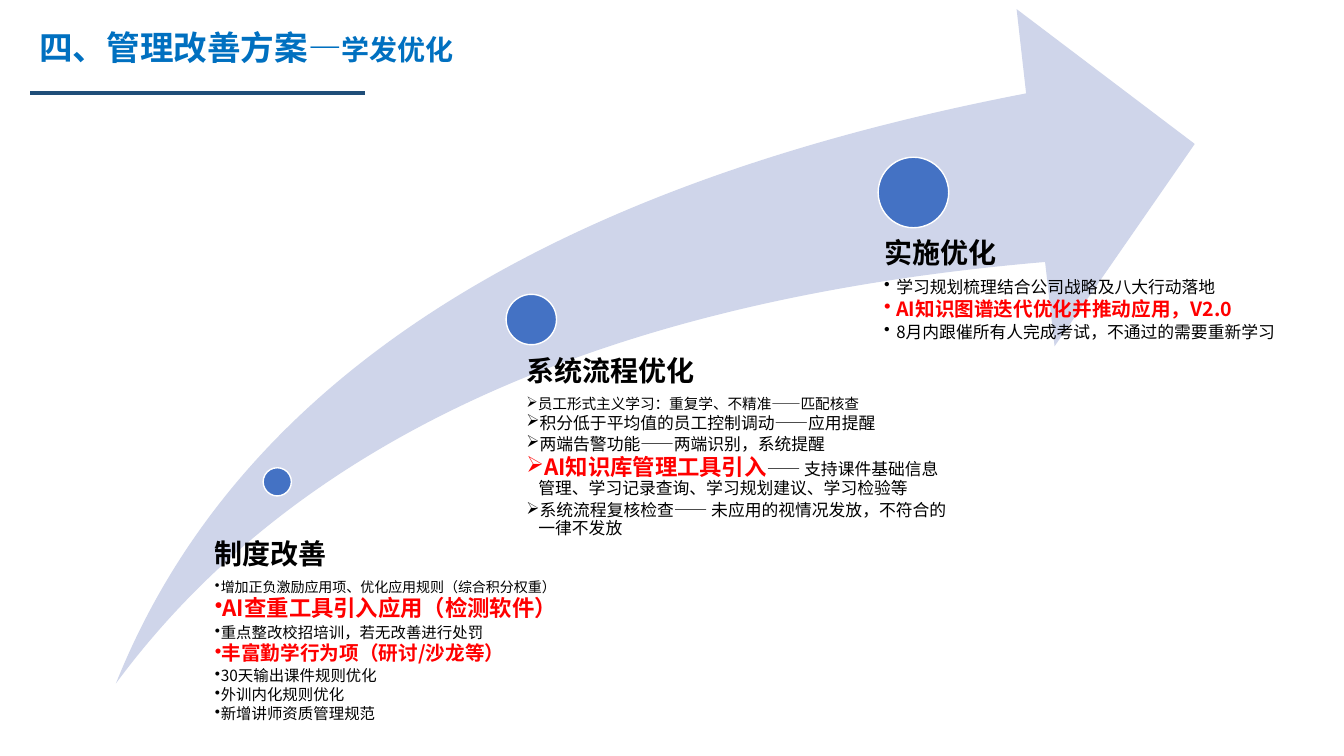
from lxml import etree
from pptx import Presentation
from pptx.dml.color import RGBColor
from pptx.enum.shapes import MSO_CONNECTOR, MSO_SHAPE
from pptx.enum.text import MSO_ANCHOR, MSO_AUTO_SIZE
from pptx.oxml.ns import qn
from pptx.util import Inches, Pt

ARROW, OVAL = MSO_SHAPE.SWOOSH_ARROW, MSO_SHAPE.OVAL
LINE, TOP, FIT = MSO_CONNECTOR.STRAIGHT, MSO_ANCHOR.TOP, MSO_AUTO_SIZE.SHAPE_TO_FIT_TEXT
FONT = "Noto Sans CJK SC"
BLACK, RED, BLUE, WHITE = "000000", "FF0000", "0070C0", "FFFFFF"
PALE, DOT, NAVY = "CFD5EA", "4472C4", "1F4E79"
TITLE = [("四、管理改善方案—", 24), ("学发优化", 20)]
STEPS = [
    {
        "head": "制度改善", "mark": "•", "dot": (2.75, 4.78, 0.28),
        "box": (1.98, 5.36, 4.02, 2.14), "pad": 0.15,
        "items": [
            (0.06, [("增加正负激励应用项、优化应用规则（综合积分权重）", 10, BLACK)]),
            (0.06, [("AI查重工具引入应用（检测软件）", 16, RED)]),
            (0.06, [("重点整改校招培训，若无改善进行处罚", 11, BLACK)]),
            (0.06, [("丰富勤学行为项（研讨/沙龙等）", 14, RED)]),
            (0.06, [("30天输出课件规则优化", 11, BLACK)]),
            (0.06, [("外训内化规则优化", 11, BLACK)]),
            (0.06, [("新增讲师资质管理规范", 11, BLACK)]),
        ],
    },
    {
        "head": "系统流程优化", "mark": "➢", "dot": (5.27, 3.17, 0.5),
        "box": (4.95, 3.54, 4.46, 1.96), "pad": 0.27,
        "items": [
            (0.06, [("员工形式主义学习：重复学、不精准——匹配核查", 10.5, BLACK)]),
            (0.12, [("积分低于平均值的员工控制调动——应用提醒", 12, BLACK)]),
            (0.12, [("两端告警功能——两端识别，系统提醒", 12, BLACK)]),
            (0.12, [("AI知识库管理工具引入", 16, RED),
                    ("—— 支持课件基础信息管理、学习记录查询、学习规划建议、学习检验等", 12, BLACK)]),
            (0.12, [("系统流程复核检查—— 未应用的视情况发放，不符合的一律不发放", 12, BLACK)]),
        ],
    },
    {
        "head": "实施优化", "mark": "•", "dot": (9.06, 1.91, 0.7),
        "box": (8.4, 2.37, 4.54, 1.54), "pad": 0.37,
        "items": [
            (0.12, [("学习规划梳理结合公司战略及八大行动落地", 12, BLACK)]),
            (0.12, [("AI知识图谱迭代优化并推动应用，V2.0", 14, RED)]),
            (0.12, [("8月内跟催所有人完成考试，不通过的需要重新学习", 12, BLACK)]),
        ],
    },
]


def color(code):
    return RGBColor.from_string(code)


def add_run(para, text, size, code, bold):
    run = para.add_run()
    run.text = text
    font = run.font
    font.size, font.bold, font.name = Pt(size), bold, FONT
    font.color.rgb = color(code)
    etree.SubElement(font._element, qn("a:ea"), typeface=FONT)


def add_shape(kind, box, fill, edge=None):
    shape = slide.shapes.add_shape(kind, *map(Inches, box))
    shape.shadow.inherit = False
    shape.fill.solid()
    shape.fill.fore_color.rgb = color(fill)
    if edge:
        shape.line.color.rgb = color(edge)
        shape.line.width = Pt(1)
    else:
        shape.line.fill.background()
    return shape


def format_para(para, after):
    para.line_spacing = 0.9
    props = para._p.get_or_add_pPr()
    space = etree.SubElement(props, qn("a:spcAft"))
    etree.SubElement(space, qn("a:spcPct"), val=str(after * 1000))
    return props


def add_step(step):
    x, y, size = step["dot"]
    add_shape(OVAL, (x - size / 2, y - size / 2, size, size), DOT, WHITE)
    frame = slide.shapes.add_textbox(*map(Inches, step["box"])).text_frame
    frame.word_wrap, frame.vertical_anchor = True, TOP
    frame.margin_left = Inches(step["pad"])
    frame.margin_top = frame.margin_right = frame.margin_bottom = 0
    head = frame.paragraphs[0]
    format_para(head, 35)
    add_run(head, step["head"], 20, BLACK, True)
    for indent, runs in step["items"]:
        para = frame.add_paragraph()
        para.level = 1
        props = format_para(para, 15)
        props.set("marL", str(Inches(indent)))
        props.set("indent", str(-Inches(indent)))
        etree.SubElement(props, qn("a:buChar"), char=step["mark"])
        for text, size, code in runs:
            add_run(para, text, size, code, code == RED)


deck = Presentation()
deck.slide_width, deck.slide_height = Inches(13.33), Inches(7.5)
slide = deck.slides.add_slide(deck.slide_layouts[6])

swoosh = add_shape(ARROW, (1.15, 0.09, 10.7, 6.69), PALE)
swoosh.adjustments[0] = swoosh.adjustments[1] = 0.25

for step in STEPS:
    add_step(step)

title = slide.shapes.add_textbox(*map(Inches, (0.29, 0.22, 4.35, 0.5))).text_frame
title.word_wrap, title.auto_size = False, FIT
for text, size in TITLE:
    add_run(title.paragraphs[0], text, size, BLUE, True)

rule = slide.shapes.add_connector(LINE, *map(Inches, (0.3, 0.92, 3.62, 0.92)))
rule.line.color.rgb = color(NAVY)
rule.line.width = Pt(3)
etree.SubElement(rule._element.spPr, qn("a:effectLst"))

deck.save("out.pptx")
